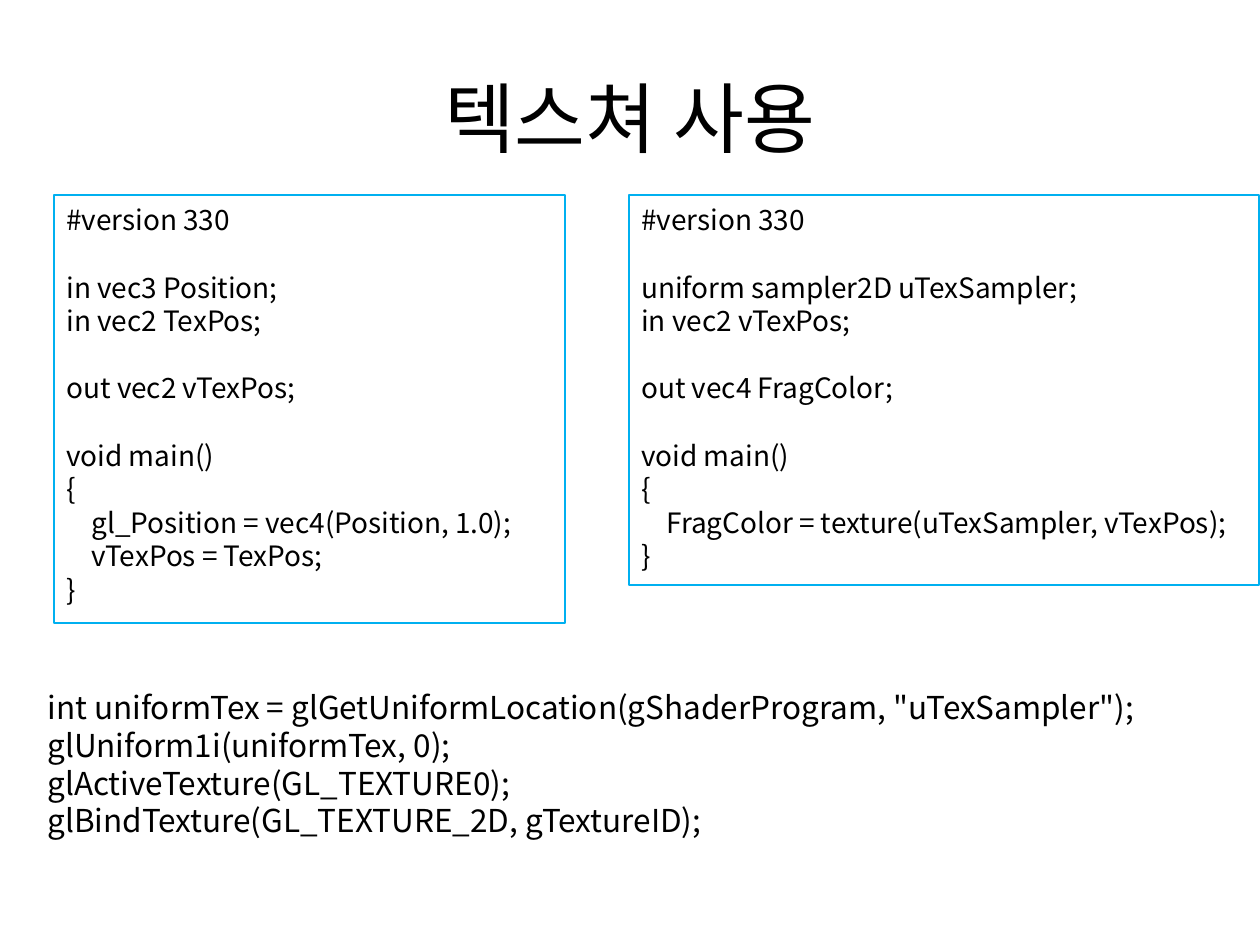
from pptx import Presentation
from pptx.dml.color import RGBColor
from pptx.enum.shapes import MSO_SHAPE
from pptx.enum.text import MSO_ANCHOR, PP_ALIGN
from pptx.util import Emu, Pt

THEME = {
    "font": "Noto Sans CJK KR",
    "text": RGBColor(0, 0, 0),
    "line": RGBColor(0x00, 0xB0, 0xF0),
    "title": 44, "calls": 18, "shader": 16,
    "leading": 1.2,
}
SCALE = 914400 // 126
SLIDE = (1260, 945)
INDENT = 25
INSET_TOP = 8

TITLE = ["텍스쳐 사용"]
VERTEX = [
    ["#version 330"],
    ["in vec3 Position;", "in vec2 TexPos;"],
    ["out vec2 vTexPos;"],
    ["void main()", "{", "\tgl_Position = vec4(Position, 1.0);", "\tvTexPos = TexPos;", "}"],
]
FRAGMENT = [
    ["#version 330"],
    ["uniform sampler2D uTexSampler;", "in vec2 vTexPos;"],
    ["out vec4 FragColor;"],
    ["void main()", "{", "\tFragColor = texture(uTexSampler, vTexPos);", "}"],
]
CALLS = [[
    'int uniformTex = glGetUniformLocation(gShaderProgram, "uTexSampler");',
    "glUniform1i(uniformTex, 0);",
    "glActiveTexture(GL_TEXTURE0);",
    "glBindTexture(GL_TEXTURE_2D, gTextureID);",
]]
SHADERS = [(VERTEX, (54, 195, 511, 428)), (FRAGMENT, (629, 195, 630, 390))]


def px(n):
    return Emu(n * SCALE)


def style(p, size):
    for r in p.runs:
        r.font.size = Pt(size)
        r.font.name = THEME["font"]
        r.font.color.rgb = THEME["text"]
        ea = r._r.get_or_add_rPr().makeelement(
            "{http://schemas.openxmlformats.org/drawingml/2006/main}ea",
            {"typeface": THEME["font"]})
        r.font._element.append(ea)


def write_code(s, blocks, size):
    tf = s.text_frame
    tf.word_wrap = True
    tf.vertical_anchor = MSO_ANCHOR.TOP
    tf.margin_top = px(INSET_TOP)
    pitch = Pt(size * THEME["leading"])
    lines = [(line, b > 0 and i == 0)
             for b, block in enumerate(blocks) for i, line in enumerate(block)]
    for n, (line, opens_block) in enumerate(lines):
        p = tf.add_paragraph() if n else tf.paragraphs[0]
        p.text = line.lstrip("\t")
        p.alignment = PP_ALIGN.LEFT
        p.line_spacing = pitch
        p.space_before = pitch if opens_block else Pt(0)
        if line.startswith("\t"):
            p._p.get_or_add_pPr().set("marL", str(px(INDENT)))
        style(p, size)


def add_title(slide):
    s = slide.shapes.add_textbox(*map(px, (63, 38, 1134, 157)))
    tf = s.text_frame
    tf.word_wrap = True
    tf.vertical_anchor = MSO_ANCHOR.MIDDLE
    tf.text = TITLE[0]
    p = tf.paragraphs[0]
    p.alignment = PP_ALIGN.CENTER
    style(p, THEME["title"])


def main():
    prs = Presentation()
    prs.slide_width, prs.slide_height = map(px, SLIDE)
    slide = prs.slides.add_slide(prs.slide_layouts[6])
    add_title(slide)
    s = slide.shapes.add_textbox(*map(px, (35, 680, 1225, 165)))
    write_code(s, CALLS, THEME["calls"])
    for blocks, box in SHADERS:
        s = slide.shapes.add_shape(MSO_SHAPE.RECTANGLE, *map(px, box))
        s.shadow.inherit = False
        s.fill.background()
        s.line.color.rgb = THEME["line"]
        s.line.width = Pt(0.75)
        write_code(s, blocks, THEME["shader"])
    prs.save("out.pptx")


if __name__ == "__main__":
    main()
